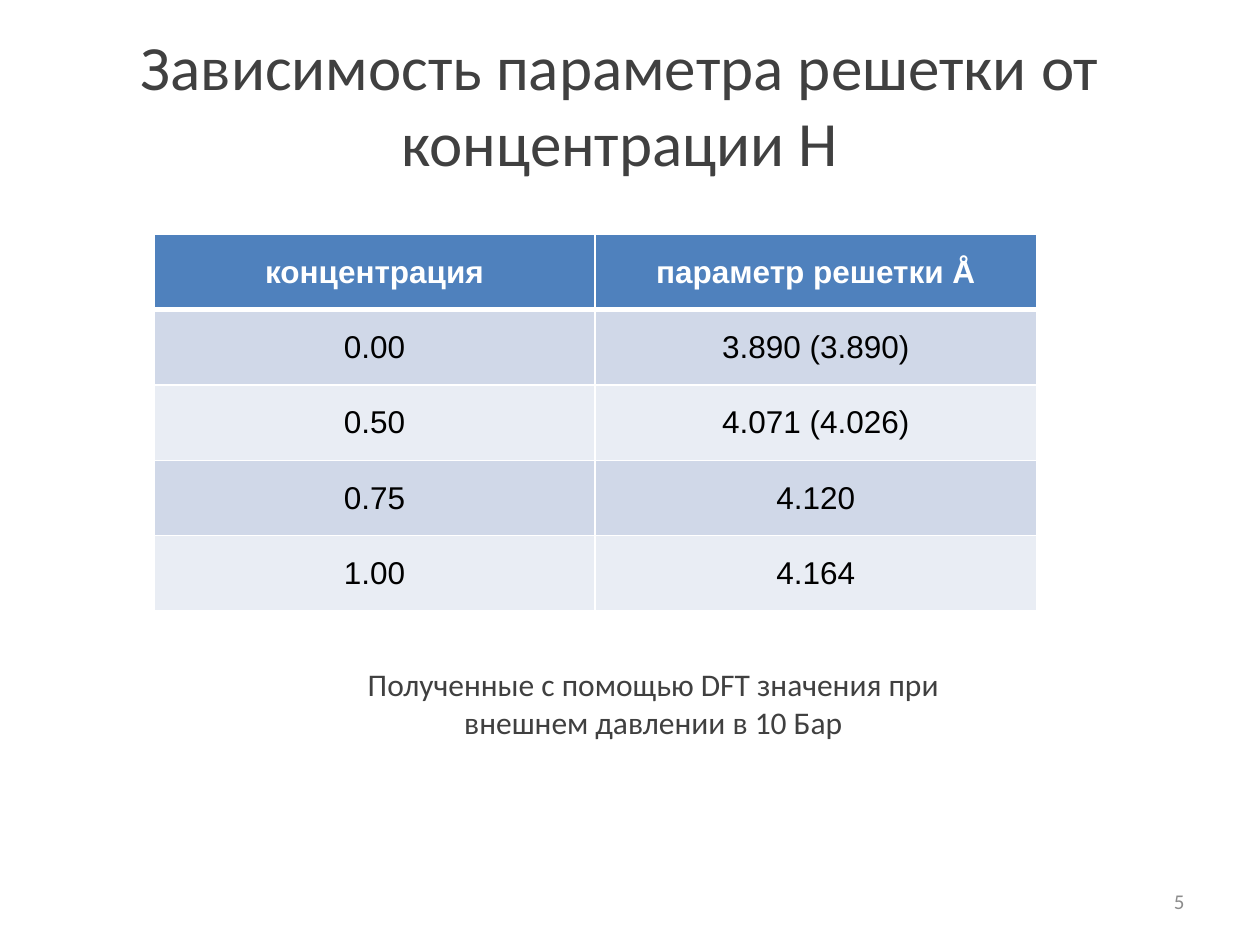
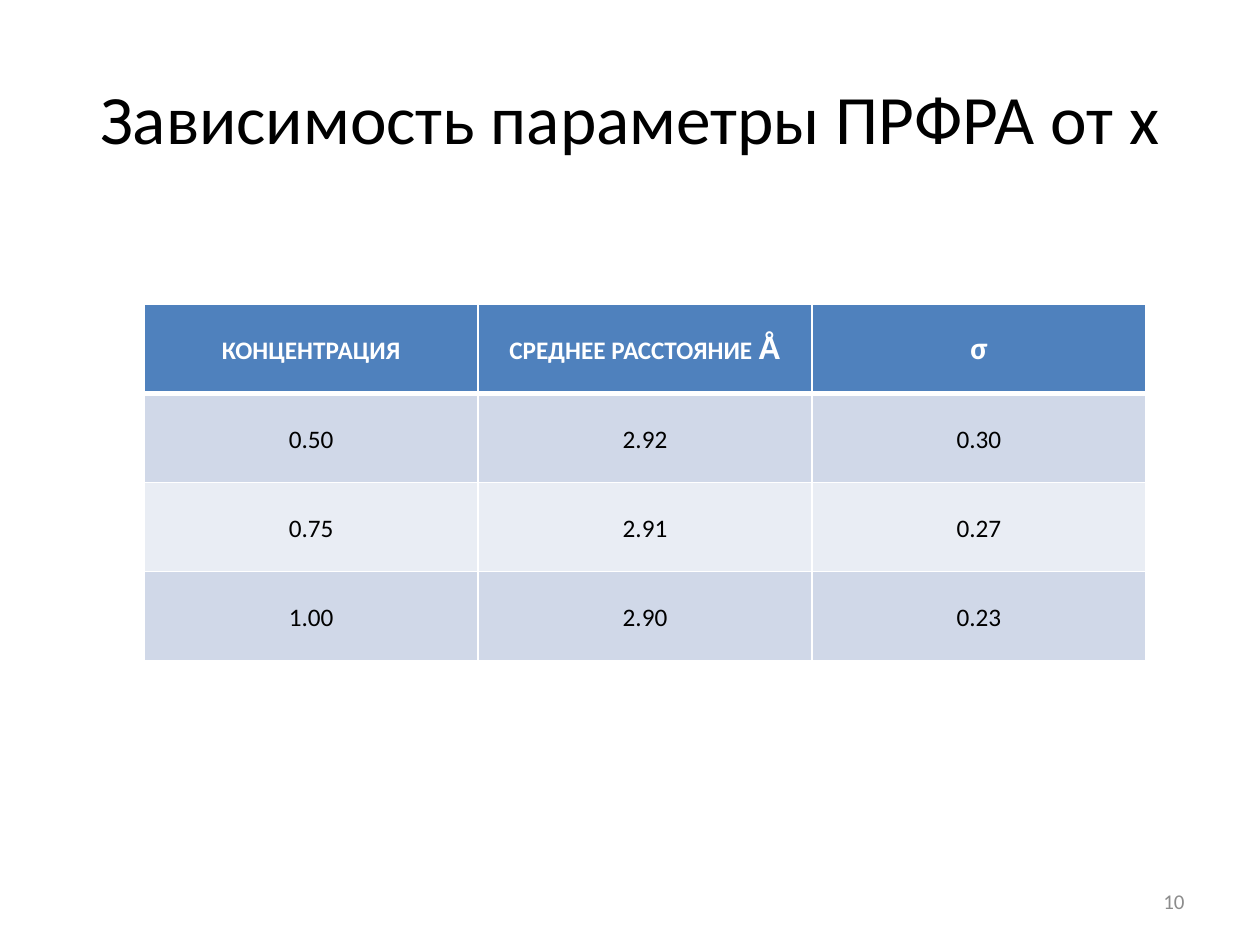
from dataclasses import dataclass

from lxml.etree import SubElement
from pptx import Presentation
from pptx.dml.color import RGBColor as RGB
from pptx.enum.text import MSO_ANCHOR as Anchor, MSO_AUTO_SIZE as Fit, PP_ALIGN as Align
from pptx.oxml.ns import qn
from pptx.util import Pt


@dataclass(frozen=True)
class Theme:
    sans: str = "Calibri"
    plain: str = "Arial"
    black: str = "000000"
    dark: str = "404040"
    grey: str = "8C8C8C"
    white: str = "FFFFFF"
    head: str = "4F81BD"
    bands: tuple = ("D0D8E8", "E9EDF4")
    body: float = 18
    foot: float = 12
    thin: float = 1
    thick: float = 3


THEME = Theme()


# Text
def style(run, size, color, face=THEME.sans, bold=False, small=False):
    font = run.font
    font.size, font.name, font.bold = Pt(size), face, bold
    font.color.rgb = RGB.from_string(color)
    run._r.get_or_add_rPr().set("cap", "small" if small else "none")


def add_text(slide, text, box, size, color, align=Align.CENTER, anchor=Anchor.MIDDLE):
    frame = slide.shapes.add_textbox(*map(Pt, box)).text_frame
    frame.text = text
    frame.word_wrap = True
    frame.vertical_anchor = anchor
    para = frame.paragraphs[0]
    para.alignment = align
    style(para.runs[0], size, color)
    return frame


def add_number(slide, number):
    add_text(slide, str(number), (516, 500.5, 168, 28.75),
             THEME.foot, THEME.grey, Align.RIGHT)


# Tables
def add_edges(cell, bottom):
    props = cell._tc.get_or_add_tcPr()
    for side in "LRTB":
        width = bottom if side == "B" else THEME.thin
        line = SubElement(props, qn(f"a:ln{side}"), w=str(Pt(width)))
        fill = SubElement(line, qn("a:solidFill"))
        SubElement(fill, qn("a:srgbClr"), val=THEME.white)


def add_grid(slide, rows, spot, col, row, face, small=False):
    count, width = len(rows), len(rows[0])
    box = (*spot, col * width, row * count)
    table = slide.shapes.add_table(count, width, *map(Pt, box)).table
    for y, texts in enumerate(rows):
        table.rows[y].height = Pt(row)
        top = y == 0
        for x, text in enumerate(texts):
            cell = table.cell(y, x)
            add_edges(cell, THEME.thick if top else THEME.thin)
            cell.fill.solid()
            shade = THEME.head if top else THEME.bands[(y - 1) % 2]
            cell.fill.fore_color.rgb = RGB.from_string(shade)
            cell.vertical_anchor = Anchor.MIDDLE
            para = cell.text_frame.paragraphs[0]
            para.text = text
            para.alignment = Align.CENTER
            style(para.runs[0], THEME.body, THEME.white if top else THEME.black,
                  face, top, small)
    return table


# Slides
def add_lattice(slide):
    add_text(slide, "Зависимость параметра решетки от концентрации H",
             (50.4, 20.9, 607.7, 76.3), 36, THEME.dark)
    add_number(slide, 5)
    rows = [("концентрация", "параметр решетки Å"),
            ("0.00", "3.890 (3.890)"),
            ("0.50", "4.071 (4.026)"),
            ("0.75", "4.120"),
            ("1.00", "4.164")]
    add_grid(slide, rows, (87.9, 134), 252.2, 43.05, THEME.plain)
    note = add_text(slide, "Полученные с помощью DFT значения при внешнем давлении в 10 Бар",
                    (175, 376.6, 396.7, 51), THEME.body, THEME.dark, anchor=Anchor.TOP)
    note.auto_size = Fit.SHAPE_TO_FIT_TEXT


def add_spread(slide):
    add_text(slide, "Зависимость параметры ПРФРА от x",
             (36, 21.6, 648, 90), 39.6, THEME.black)
    add_number(slide, 10)
    rows = [("концентрация", "среднее расстояние ", "σ"),
            ("0.50", "2.92", "0.30"),
            ("0.75", "2.91", "0.27"),
            ("1.00", "2.90", "0.23")]
    table = add_grid(slide, rows, (82.4, 173.8), 190.8, 50.95, THEME.sans, small=True)
    # Symbols stay out of the small capitals
    dist, sigma = (table.cell(0, x).text_frame.paragraphs[0] for x in (1, 2))
    unit = dist.add_run()
    unit.text = "Å"
    style(unit, THEME.body, THEME.white, THEME.plain, bold=True)
    style(sigma.runs[0], THEME.body, THEME.white, bold=True)


def main():
    deck = Presentation()
    deck.slide_width, deck.slide_height = Pt(720), Pt(540)
    for build in (add_lattice, add_spread):
        build(deck.slides.add_slide(deck.slide_layouts[6]))
    deck.save("out.pptx")


if __name__ == "__main__":
    main()
